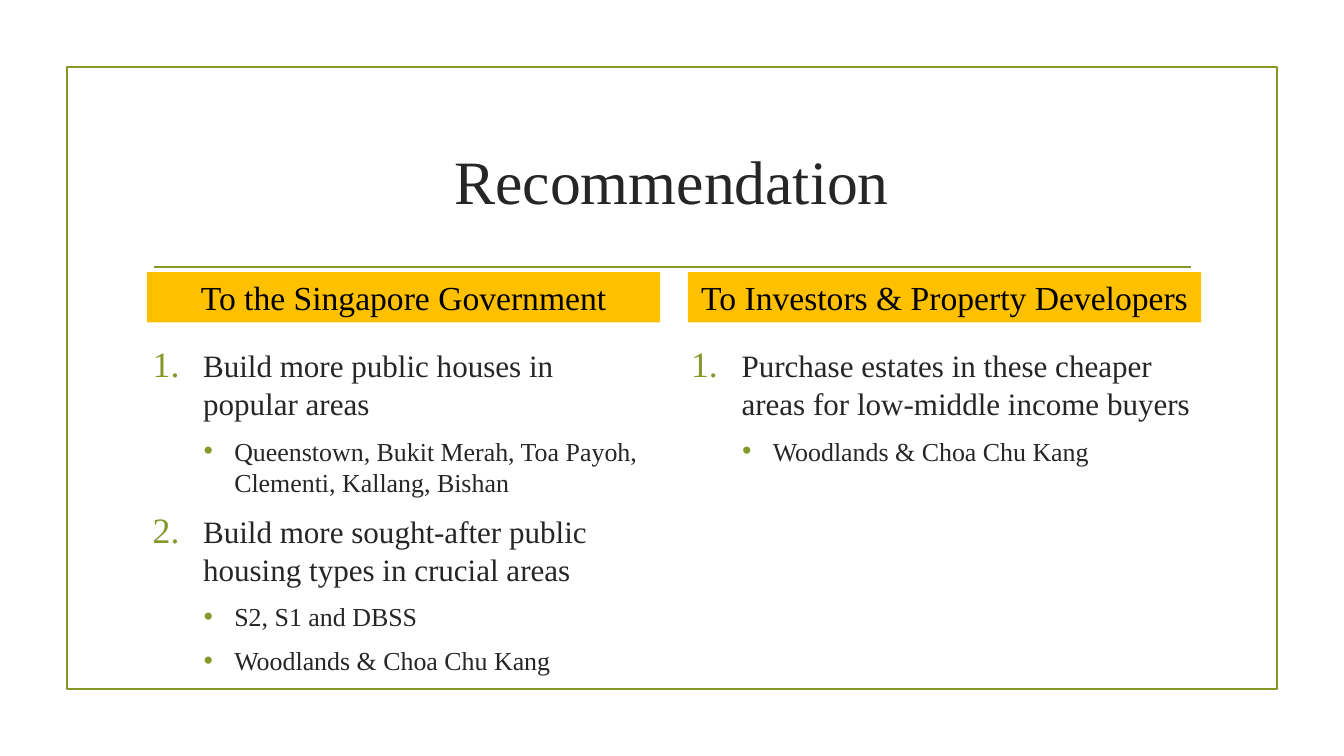
import lxml.etree
import pptx
import pptx.dml.color
import pptx.enum.shapes
import pptx.enum.text
import pptx.oxml.ns
import pptx.util

OLIVE = pptx.dml.color.RGBColor(0x83, 0x99, 0x2A)
AMBER = pptx.dml.color.RGBColor(0xFF, 0xC0, 0x00)
CHARCOAL = pptx.dml.color.RGBColor(0x26, 0x26, 0x26)
BLACK = pptx.dml.color.RGBColor(0x00, 0x00, 0x00)

GRID_COLUMNS, GRID_ROWS = 160, 90
BODY_LEFT, BODY_STEP = 17, 64.1
BANNER_LEFT, BANNER_STEP = 17.5, 64.4

RECOMMENDATIONS = [
    ("To the Singapore Government", [
        ("Build more public houses in popular areas",
         ["Queenstown, Bukit Merah, Toa Payoh, Clementi, Kallang, Bishan"]),
        ("Build more sought-after public housing types in crucial areas",
         ["S2, S1 and DBSS", "Woodlands & Choa Chu Kang"]),
    ]),
    ("To Investors & Property Developers", [
        ("Purchase estates in these cheaper areas for low-middle income buyers",
         ["Woodlands & Choa Chu Kang"]),
    ]),
]


class Deck:
    font_name = "Times New Roman"
    rule_width = pptx.util.Pt(1.25)

    def __init__(self):
        self.presentation = pptx.Presentation()
        self.presentation.slide_width = pptx.util.Inches(13.33)
        self.presentation.slide_height = pptx.util.Inches(7.5)
        self.slide = self.presentation.slides.add_slide(self.presentation.slide_layouts[6])

    def x(self, columns):
        return round(self.presentation.slide_width * columns / GRID_COLUMNS)

    def y(self, rows):
        return round(self.presentation.slide_height * rows / GRID_ROWS)

    def area(self, left, top, width, height):
        return self.x(left), self.y(top), self.x(width), self.y(height)

    def style(self, paragraph, size, color):
        paragraph.font.name = self.font_name
        paragraph.font.size = pptx.util.Pt(size)
        paragraph.font.color.rgb = color

    def rectangle(self, *cells):
        rectangle = self.slide.shapes.add_shape(
            pptx.enum.shapes.MSO_SHAPE.RECTANGLE, *self.area(*cells))
        rectangle.shadow.inherit = False
        return rectangle

    def frame(self, *cells):
        frame = self.rectangle(*cells)
        frame.fill.background()
        frame.line.color.rgb = OLIVE
        frame.line.width = self.rule_width

    def rule(self, start, end, row):
        rule = self.slide.shapes.add_connector(
            pptx.enum.shapes.MSO_CONNECTOR.STRAIGHT,
            self.x(start), self.y(row), self.x(end), self.y(row))
        rule.line.color.rgb = OLIVE
        rule.line.width = self.rule_width
        lxml.etree.SubElement(rule._element.spPr, pptx.oxml.ns.qn("a:effectLst"))

    def centred(self, holder, text, size, color):
        holder.text_frame.word_wrap = True
        holder.text_frame.vertical_anchor = pptx.enum.text.MSO_ANCHOR.MIDDLE
        paragraph = holder.text_frame.paragraphs[0]
        paragraph.text = text
        paragraph.alignment = pptx.enum.text.PP_ALIGN.CENTER
        self.style(paragraph, size, color)

    def title(self, text, *cells):
        self.centred(self.slide.shapes.add_textbox(*self.area(*cells)), text, 44, CHARCOAL)

    def banner(self, text, *cells):
        banner = self.rectangle(*cells)
        banner.fill.solid()
        banner.fill.fore_color.rgb = AMBER
        banner.line.fill.background()
        self.centred(banner, text, 24, BLACK)

    def marker(self, paragraph, indent, hanging, tag, **attributes):
        properties = paragraph._p.get_or_add_pPr()
        properties.set("marL", str(pptx.util.Inches(indent)))
        properties.set("indent", str(-pptx.util.Inches(hanging)))
        color = lxml.etree.SubElement(properties, pptx.oxml.ns.qn("a:buClr"))
        lxml.etree.SubElement(color, pptx.oxml.ns.qn("a:srgbClr"), val=str(OLIVE))
        lxml.etree.SubElement(properties, pptx.oxml.ns.qn("a:buSzPct"), val="115000")
        lxml.etree.SubElement(properties, pptx.oxml.ns.qn("a:buFont"), typeface=self.font_name)
        lxml.etree.SubElement(properties, pptx.oxml.ns.qn(tag), **attributes)

    def advice(self, items, *cells):
        frame = self.slide.shapes.add_textbox(*self.area(*cells)).text_frame
        frame.word_wrap = True
        entries = [(level, text) for item, details in items
                   for level, text in [(0, item)] + [(1, detail) for detail in details]]
        for position, (level, text) in enumerate(entries):
            paragraph = frame.add_paragraph() if position else frame.paragraphs[0]
            paragraph.text = text
            paragraph.level = level
            size = 18.5 if level else 22.2
            paragraph.line_spacing = 1.02
            paragraph.space_after = pptx.util.Pt(6)
            if position:
                paragraph.space_before = pptx.util.Pt(size * 0.16)
            if level:
                self.marker(paragraph, 0.81, 0.31, "a:buChar", char="•")
            else:
                self.marker(paragraph, 0.5, 0.5, "a:buAutoNum", type="arabicPeriod")
            self.style(paragraph, size, CHARCOAL)


def main():
    deck = Deck()
    deck.frame(8, 8, 144, 74)
    deck.rule(18.3, 141.8, 31.8)
    deck.title("Recommendation", 17, 12.8, 126, 17.2)
    for column, (audience, items) in enumerate(RECOMMENDATIONS):
        deck.advice(items, BODY_LEFT + column * BODY_STEP, 40.6, 62, 38.6)
        deck.banner(audience, BANNER_LEFT + column * BANNER_STEP, 32.4, 61.1, 6)
    deck.presentation.save("out.pptx")


if __name__ == "__main__":
    main()
